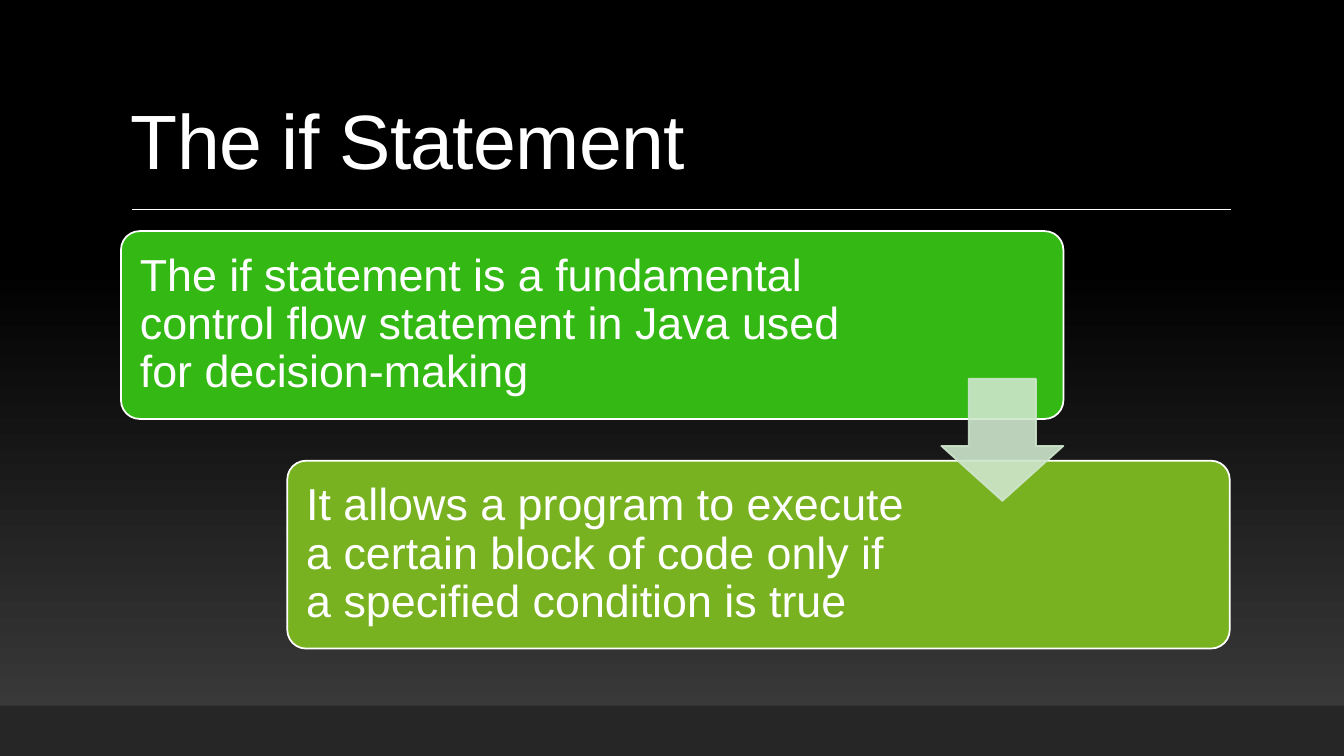
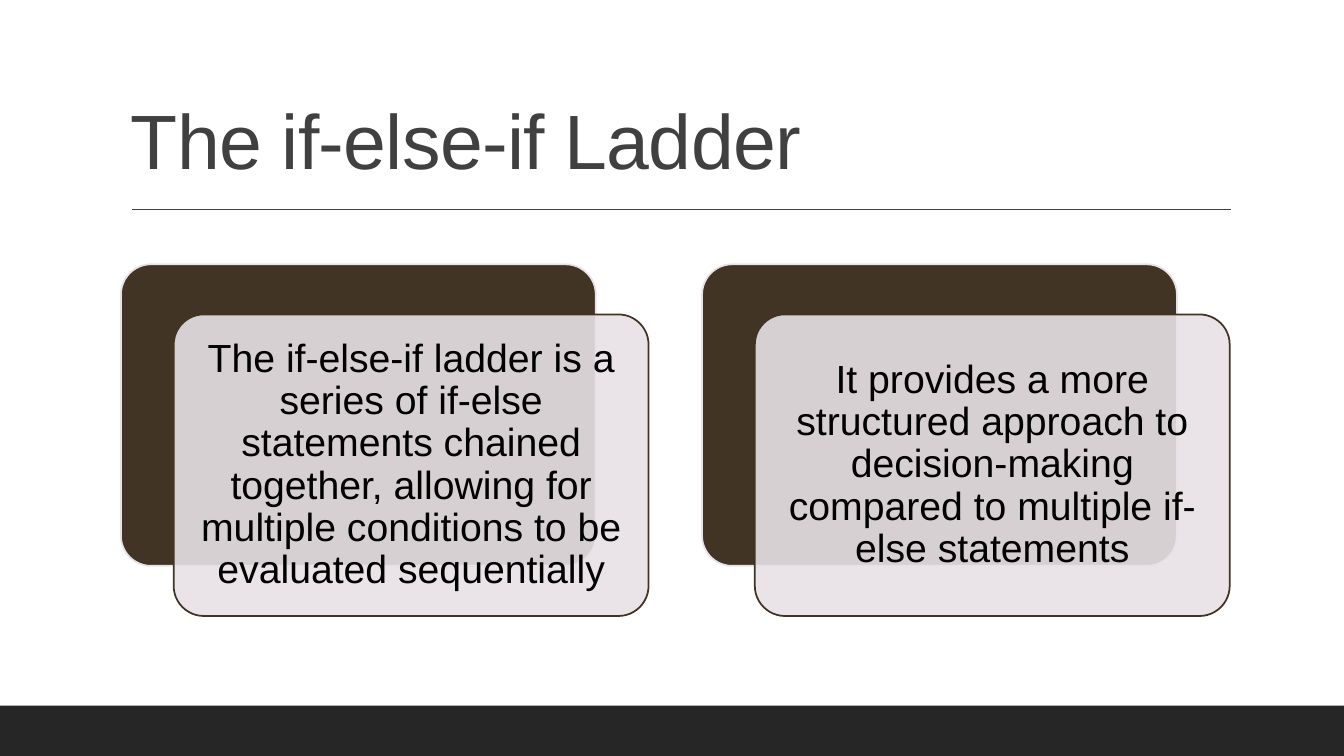
from copy import deepcopy
from dataclasses import dataclass

from lxml import etree
from pptx import Presentation
from pptx.dml.color import RGBColor
from pptx.enum.shapes import MSO_CONNECTOR as CONN, MSO_SHAPE as SHAPE
from pptx.enum.text import MSO_ANCHOR as ANCHOR, PP_ALIGN as ALIGN
from pptx.oxml.ns import qn
from pptx.util import Pt

# Content: (text, fill, right margin) for the steps
IF_TITLE = "The if Statement"
IF_STEPS = [
    ("The if statement is a fundamental control flow statement in Java used for decision-making",
     "34B914", 141),
    ("It allows a program to execute a certain block of code only if a specified condition is true",
     "79B220", 216),
]
LADDER_TITLE = "The if-else-if Ladder"
LADDER_CARDS = [
    "The if-else-if ladder is a series of if-else statements chained together, "
    "allowing for multiple conditions to be evaluated sequentially",
    "It provides a more structured approach to decision-making compared to "
    "multiple if-else statements",
]


@dataclass(frozen=True)
class Theme:
    font: str = "Arial"
    white: str = "FFFFFF"
    black: str = "000000"
    grey: str = "404040"
    glow: str = "3F3F3F"
    band: str = "262626"
    arrow: str = "CEE6CC"
    brown: str = "413424"
    mauve: str = "E8E2E7"
    title_size: int = 55
    step_size: int = 32
    card_size: int = 28
    outline: float = 1.25
    opacity: int = 90


T = Theme()
W, H = 960, 540
LEFT, RIGHT = 86.4, 878.4  # edges of the content area


def rgb(value):
    return RGBColor.from_string(value)


def set_alpha(fill_parent, percent):
    color = fill_parent.find(qn("a:solidFill"))[0]
    etree.SubElement(color, qn("a:alpha"), val=str(percent * 1000))


def add_box(s, kind, x, y, w, h, fill, line=None, adj=()):
    sp = s.shapes.add_shape(kind, Pt(x), Pt(y), Pt(w), Pt(h))
    sp.shadow.inherit = False
    sp.fill.solid()
    sp.fill.fore_color.rgb = rgb(fill)
    if line:
        sp.line.color.rgb = rgb(line)
        sp.line.width = Pt(T.outline)
    else:
        sp.line.fill.background()
    for i, value in enumerate(adj):
        sp.adjustments[i] = value
    return sp


def add_card(s, x, y, w, h, fill, line):
    return add_box(s, SHAPE.ROUNDED_RECTANGLE, x, y, w, h, fill, line, [0.1])


def set_text(sp, text, size, color, align=ALIGN.LEFT, anchor=ANCHOR.MIDDLE, margins=None):
    tf = sp.text_frame
    tf.word_wrap = True
    tf.vertical_anchor = anchor
    if margins:
        tf.margin_left, tf.margin_top, tf.margin_right, tf.margin_bottom = map(Pt, margins)
    p = tf.paragraphs[0]
    r = p.add_run()
    r.text = text
    p.alignment = align
    p.line_spacing = 0.9
    p.font.name, p.font.size = T.font, Pt(size)
    p.font.color.rgb = rgb(color)
    return r


def fill_gradient(fill):
    """Glow at the bottom, black from 65% upward."""
    fill.gradient()
    fill.gradient_angle = 90
    glow, dark = fill.gradient_stops
    glow.color.rgb, glow.position = rgb(T.glow), 0
    dark.color.rgb, dark.position = rgb(T.black), 0.65


def add_slide(prs, title, ink, dark=False):
    """Background, title, rule and bottom band shared by the slides."""
    s = prs.slides.add_slide(prs.slide_layouts[6])
    fill = s.background.fill
    if dark:
        fill_gradient(fill)
        stops = next(s.background._cSld.iter(qn("a:gsLst")))
        top = deepcopy(stops[-1])
        top.set("pos", "100000")
        stops.append(top)
    else:
        fill.solid()
        fill.fore_color.rgb = rgb(T.white)

    box = s.shapes.add_textbox(Pt(LEFT), Pt(22.3), Pt(RIGHT - LEFT), Pt(114.5))
    r = set_text(box, title, T.title_size, ink, anchor=ANCHOR.BOTTOM)
    r.font._element.set("spc", "-50")

    rule = s.shapes.add_connector(CONN.STRAIGHT, Pt(94.3), Pt(149.5), Pt(879), Pt(149.5))
    rule.line.color.rgb = rgb(ink)
    rule.line.width = Pt(1)
    etree.SubElement(rule._element.spPr, qn("a:effectLst"))

    add_box(s, SHAPE.RECTANGLE, 0, 504, W, 36, T.band)
    return s


def build_if(prs):
    s = add_slide(prs, IF_TITLE, T.white, dark=True)
    w, h, top, pitch = 673.2, 134.2, 165.1, 164
    shift = RIGHT - LEFT - w
    # Staggered steps
    for i, (text, fill, right) in enumerate(IF_STEPS):
        card = add_card(s, LEFT + i * shift, top + i * pitch, w, h, fill, T.white)
        set_text(card, text, T.step_size, T.white, margins=(9.6, 9.6, right, 9.6))
    # Arrow centred on the gap, flush with the first step
    size = 87.2
    arrow = add_box(s, SHAPE.DOWN_ARROW, LEFT + w - size, top + (h + pitch - size) / 2,
                    size, size, T.arrow, T.arrow, [0.55, 0.45])
    sp_pr = arrow._element.spPr
    for parent in (sp_pr, sp_pr.find(qn("a:ln"))):
        set_alpha(parent, T.opacity)


def build_ladder(prs):
    s = add_slide(prs, LADDER_TITLE, T.grey)
    w, h, top, dx, dy = 339.2, 215.4, 188.8, 37.7, 35.8
    pitch = RIGHT - LEFT - w - dx
    # Pairs of a dark back card and a translucent front card
    for i, text in enumerate(LADDER_CARDS):
        x = LEFT + i * pitch
        add_card(s, x, top, w, h, T.brown, T.mauve)
        front = add_card(s, x + dx, top + dy, w, h, T.mauve, T.brown)
        set_alpha(front._element.spPr, T.opacity)
        set_text(front, text, T.card_size, T.black, ALIGN.CENTER, margins=(8.4,) * 4)


def main():
    prs = Presentation()
    prs.slide_width, prs.slide_height = Pt(W), Pt(H)
    build_if(prs)
    build_ladder(prs)
    prs.save("out.pptx")


if __name__ == "__main__":
    main()
